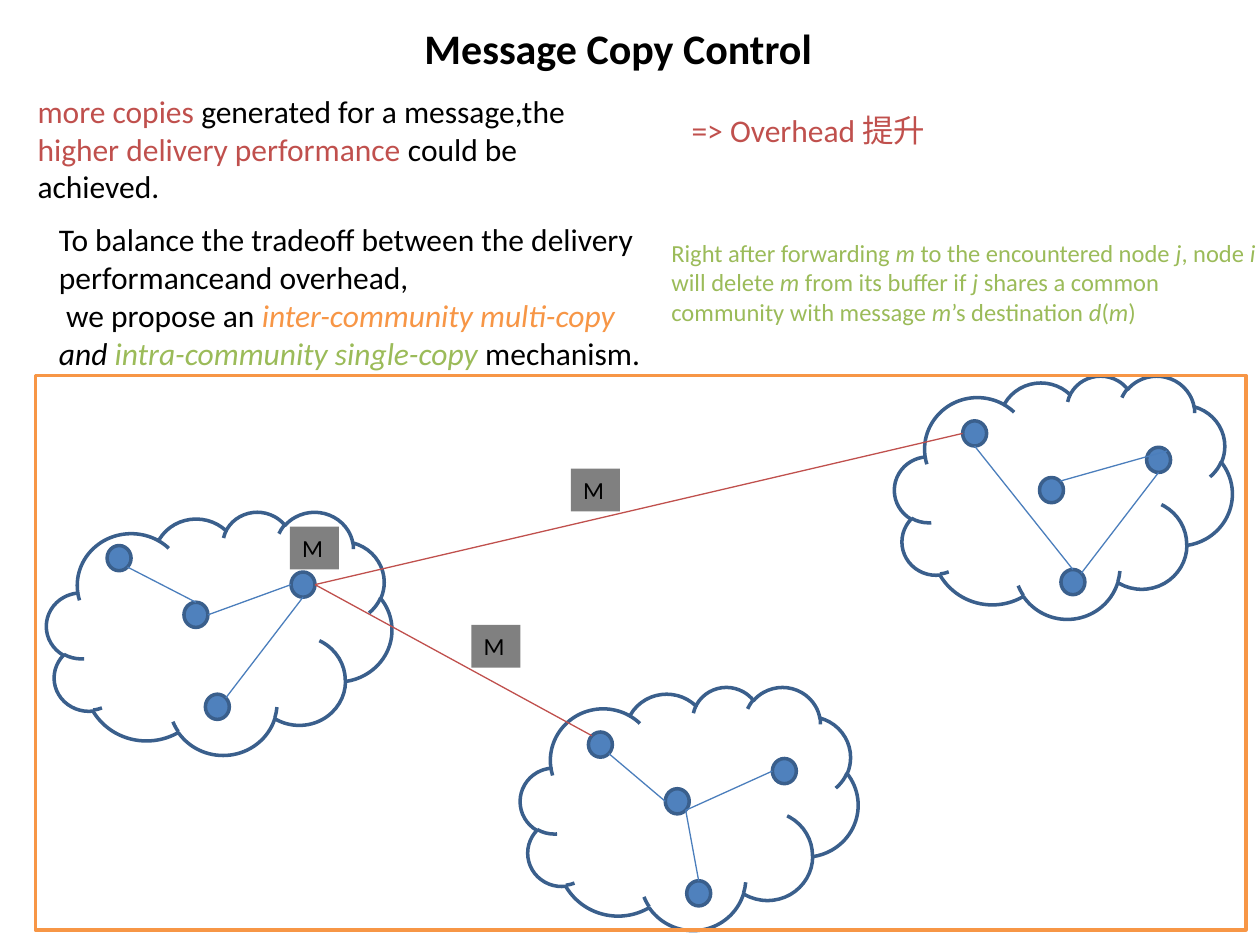
from dataclasses import dataclass
from math import cos, radians, sin

from lxml.etree import SubElement
from pptx import Presentation
from pptx.dml.color import RGBColor as RGB
from pptx.enum.shapes import MSO_CONNECTOR as CONNECTOR, MSO_SHAPE as SHAPE
from pptx.enum.text import MSO_ANCHOR as ANCHOR, MSO_AUTO_SIZE as AUTO_SIZE, PP_ALIGN as ALIGN
from pptx.oxml.ns import qn
from pptx.util import Inches, Pt


@dataclass(frozen=True)
class Theme:
    font: str = "Calibri"
    title: int = 24
    body: int = 18
    small: int = 14
    outline: float = 2
    thin: float = 0.75
    black: str = "000000"
    red: str = "C0504D"
    orange: str = "F79646"
    green: str = "9BBB59"
    gray: str = "808080"
    node: str = "4F81BD"
    node_line: str = "3A5F8C"
    link: str = "4B7EBC"


THEME = Theme()
NODE_W, NODE_H = 0.19, 0.2
# Node places inside a community, relative to its origin
NODE_OFFSETS = [(0.54, 0.36), (1.32, 1.54), (2.0, 0.57), (1.15, 0.81)]
# Directions, in degrees clockwise from the right, where a link meets a node
RIGHT, LOWER_RIGHT, BOTTOM, LEFT, UPPER_LEFT, TOP, UPPER_RIGHT = 0, 45, 90, 180, 225, 270, 315


class SlideBuilder:
    def __init__(self, slide, theme):
        self.slide = slide
        self.theme = theme

    def fill_text(self, frame, paragraphs, size, color):
        """Each paragraph is a list of (text, color, italic); None keeps the base."""
        frame.word_wrap = True
        frame.auto_size = AUTO_SIZE.SHAPE_TO_FIT_TEXT
        frame.vertical_anchor = ANCHOR.TOP
        for index, runs in enumerate(paragraphs):
            paragraph = frame.paragraphs[0] if index == 0 else frame.add_paragraph()
            paragraph.alignment = ALIGN.LEFT
            font = paragraph.font
            font.name, font.size = self.theme.font, Pt(size)
            font.color.rgb = RGB.from_string(color)
            for text, run_color, italic in runs:
                run = paragraph.add_run()
                run.text = text
                if run_color:
                    run.font.color.rgb = RGB.from_string(run_color)
                if italic:
                    run.font.italic = True

    def text(self, box, paragraphs, size, color, bold=False):
        frame = self.slide.shapes.add_textbox(*map(Inches, box)).text_frame
        self.fill_text(frame, paragraphs, size, color)
        if bold:
            frame.paragraphs[0].font.bold = True

    def shape(self, kind, box, fill=None, line=None):
        shape = self.slide.shapes.add_shape(kind, *map(Inches, box))
        shape.shadow.inherit = False
        if fill:
            shape.fill.solid()
            shape.fill.fore_color.rgb = RGB.from_string(fill)
        else:
            shape.fill.background()
        if line:
            shape.line.color.rgb = RGB.from_string(line)
            shape.line.width = Pt(self.theme.outline)
        else:
            shape.line.fill.background()
        return shape

    def link(self, start, end, color):
        line = self.slide.shapes.add_connector(CONNECTOR.STRAIGHT, *map(Inches, start + end))
        line.line.color.rgb = RGB.from_string(color)
        line.line.width = Pt(self.theme.thin)
        SubElement(line._element.spPr, qn("a:effectLst"))

    def community(self, cloud, origin):
        """Draw a cloud with its nodes and return the node corners."""
        self.shape(SHAPE.CLOUD, cloud, line=self.theme.node_line)
        nodes = [(origin[0] + dx, origin[1] + dy) for dx, dy in NODE_OFFSETS]
        for x, y in nodes:
            self.shape(SHAPE.OVAL, (x, y, NODE_W, NODE_H), self.theme.node, self.theme.node_line)
        return nodes

    def message(self, x, y):
        box = self.shape(SHAPE.RECTANGLE, (x, y, 0.39, 0.34), self.theme.gray)
        self.fill_text(box.text_frame, [[("M", None, False)]], self.theme.small, self.theme.black)


def rim(node, angle):
    """Point on a node's edge in the given direction."""
    x, y = node
    turn = radians(angle)
    return (x + NODE_W / 2 * (1 + cos(turn)), y + NODE_H / 2 * (1 + sin(turn)))


def main():
    prs = Presentation()
    prs.slide_width, prs.slide_height = Inches(10), Inches(7.5)
    t = THEME
    page = SlideBuilder(prs.slides.add_slide(prs.slide_layouts[6]), t)

    # Title and statements
    page.text((3.27, 0.13, 3.31, 0.5), [[("Message Copy Control", None, False)]],
              t.title, t.black, bold=True)
    page.text((0.2, 0.68, 5, 0.71), [[
        ("more copies ", t.red, False),
        ("generated for a message,the ", None, False),
        ("higher delivery performance ", t.red, False),
        ("could be achieved.", None, False),
    ]], t.body, t.black)
    page.text((5.39, 0.83, 2.08, 0.4), [[("=> Overhead 提升", None, False)]], t.body, t.red)
    page.text((0.37, 1.7, 5, 1.31), [
        [("To balance the tradeoff between the delivery performanceand overhead,", None, False)],
        [(" we propose an ", None, False),
         ("inter-community multi-copy ", t.orange, True),
         ("and", None, True),
         (" intra-community single-copy ", t.green, True),
         ("mechanism.", None, False)],
    ], t.body, t.black)

    # Communities
    source = page.community((0.37, 4.06, 2.74, 1.93), (0.31, 3.97))
    upper = page.community((7.1, 2.98, 2.68, 1.93), (7.1, 2.98))
    lower = page.community((4.13, 5.45, 2.68, 1.93), (4.13, 5.45))

    # Links inside each community: node, direction, node, direction
    inner_links = [
        (source, [(0, LOWER_RIGHT, 3, TOP), (2, BOTTOM, 1, UPPER_RIGHT), (3, RIGHT, 2, LEFT)]),
        (lower, [(0, LOWER_RIGHT, 3, LEFT), (3, LOWER_RIGHT, 1, TOP), (3, LOWER_RIGHT, 2, LEFT)]),
        (upper, [(0, BOTTOM, 1, TOP), (3, UPPER_RIGHT, 2, UPPER_RIGHT),
                 (2, BOTTOM, 1, UPPER_RIGHT)]),
    ]
    for nodes, links in inner_links:
        for first, leaving, second, entering in links:
            page.link(rim(nodes[first], leaving), rim(nodes[second], entering), t.link)

    # Message copies sent between communities
    page.message(2.3, 4.18)
    gateway = rim(source[2], RIGHT)
    page.link(gateway, rim(lower[0], UPPER_LEFT), t.red)
    page.link(gateway, rim(upper[0], LEFT), t.red)
    page.message(4.53, 3.72)
    page.message(3.74, 4.96)

    # Deletion rule, with its variables in italics
    rule = ["Right after forwarding ", "m ", "to the encountered node ", "j", ", node ", "i ",
            "will delete ", "m ", "from its buffer if ", "j ",
            "shares a common community with message ", "m", "’s destination ", "d", "(", "m", ")"]
    page.text((5.23, 1.84, 5, 0.81),
              [[(part, None, index % 2 == 1) for index, part in enumerate(rule)]],
              t.small, t.green)

    # Frame around the network
    page.shape(SHAPE.RECTANGLE, (0.28, 2.98, 9.61, 4.4), line=t.orange)

    prs.save("out.pptx")


if __name__ == "__main__":
    main()
